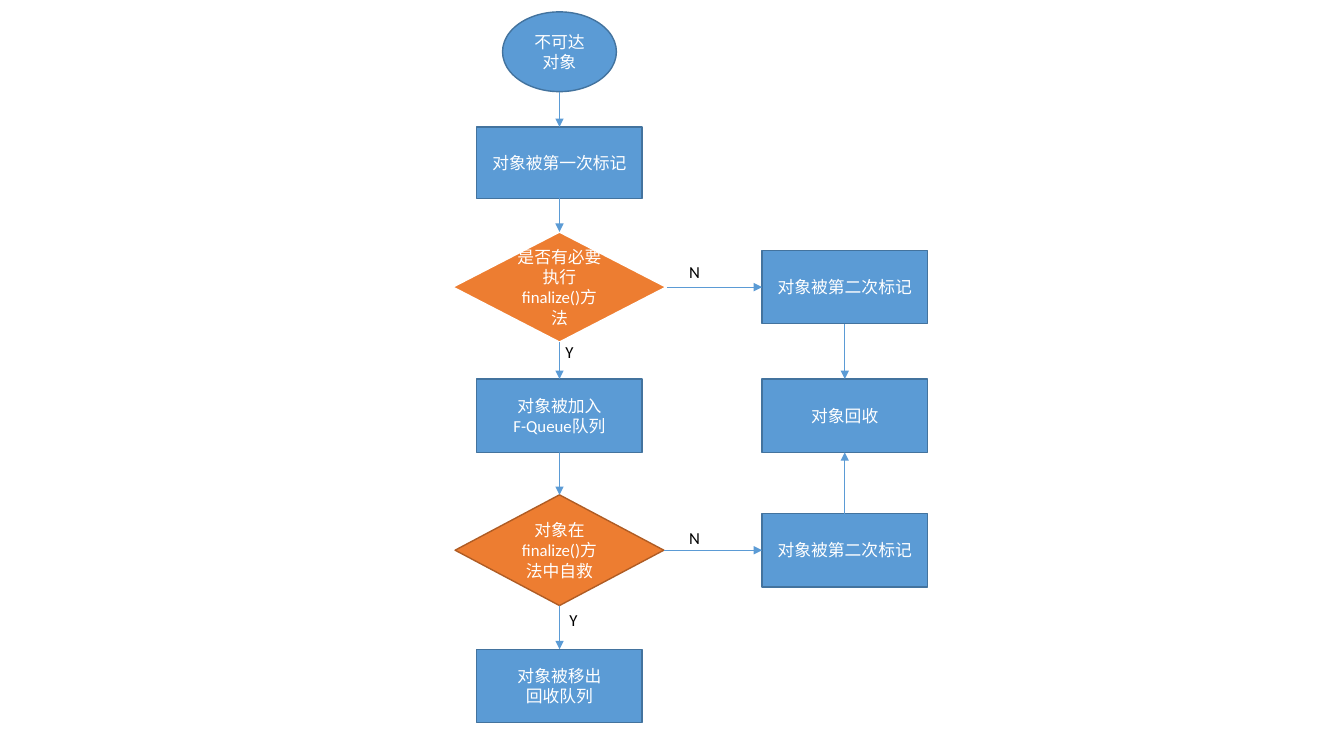
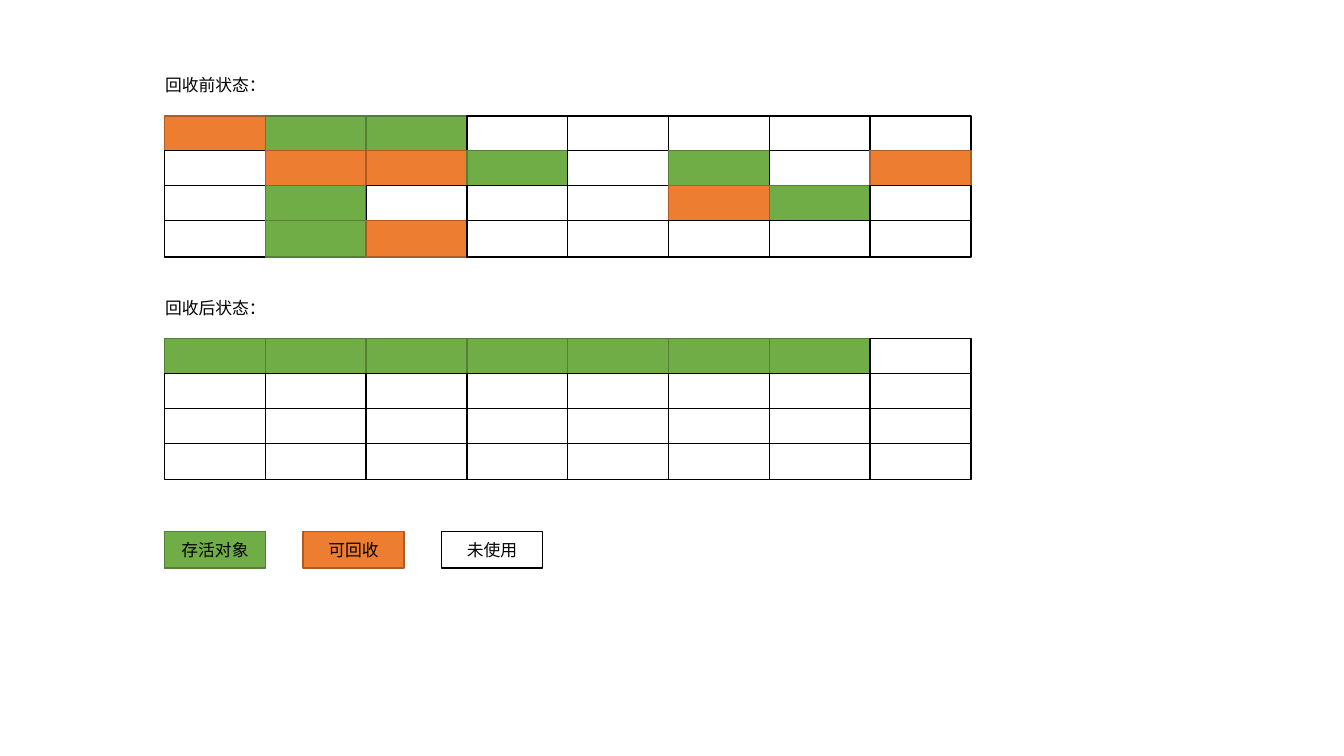
import pptx
import pptx.dml.color
import pptx.enum.shapes
import pptx.enum.text
import pptx.oxml
import pptx.oxml.ns
import pptx.util
from pptx.util import Cm

SHAPE = pptx.enum.shapes.MSO_SHAPE
ALIGN = pptx.enum.text.PP_ALIGN
color = pptx.dml.color.RGBColor.from_string

# Fill, outline, outline width in points
STEP = ("5B9BD5", "43739E", 1)
DECISION = ("ED7D31", "AF5C24", 1)
DECISION_WHITE_EDGE = ("ED7D31", "FFFFFF", 1.5)
ALIVE = ("70AD47", "538035", 1)
GARBAGE = ("ED7D31", "AF5C24", 1)
UNUSED = ("FFFFFF", "000000", 1)


def write_lines(frame, lines, hex_color, align):
    frame.word_wrap = True
    for index, line in enumerate(lines):
        para = frame.paragraphs[0] if index == 0 else frame.add_paragraph()
        para.alignment = align
        span = para.add_run()
        span.text = line
        span.font.name = "Calibri"
        span.font.size = pptx.util.Pt(12)
        span.font.color.rgb = color(hex_color)


def add_block(page, kind, left, top, width, height, style, lines=(), text_color="FFFFFF"):
    """Add a filled, outlined shape with centred text; lengths are in centimetres."""
    fill, edge, edge_width = style
    block = page.shapes.add_shape(kind, Cm(left), Cm(top), Cm(width), Cm(height))
    block.shadow.inherit = False
    block.fill.solid()
    block.fill.fore_color.rgb = color(fill)
    block.line.color.rgb = color(edge)
    block.line.width = pptx.util.Pt(edge_width)
    write_lines(block.text_frame, lines, text_color, ALIGN.CENTER)
    return block


deck = pptx.Presentation()
deck.slide_width = Cm(33.87)
deck.slide_height = Cm(19.05)
flow_page, memory_page = [deck.slides.add_slide(deck.slide_layouts[6]) for _ in range(2)]

# Flow chart of the two markings
MAIN, SIDE = 14.1, 21.29  # column centres
DIAMOND = SHAPE.FLOWCHART_DECISION
RECT = SHAPE.RECTANGLE
nodes = {}
for name, kind, center, top, width, height, style, lines in [
    ("unreachable", SHAPE.OVAL, MAIN, 0.3, 2.87, 2.01, STEP, ["不可达对象"]),
    ("first mark", RECT, MAIN, 3.2, 4.17, 1.8, STEP, ["对象被第一次标记"]),
    ("needed", DIAMOND, MAIN, 5.84, 5.41, 2.79, DECISION_WHITE_EDGE, ["是否有必要执行finalize()方法"]),
    ("queued", RECT, MAIN, 9.55, 4.17, 1.85, STEP, ["对象被加入", "F-Queue队列"]),
    ("rescued", DIAMOND, MAIN, 12.47, 5.26, 2.79, DECISION, ["对象在finalize()方法中自救"]),
    ("removed", RECT, MAIN, 16.36, 4.17, 1.85, STEP, ["对象被移出", "回收队列"]),
    ("upper mark", RECT, SIDE, 6.31, 4.17, 1.85, STEP, ["对象被第二次标记"]),
    ("collected", RECT, SIDE, 9.55, 4.17, 1.85, STEP, ["对象回收"]),
    ("lower mark", RECT, SIDE, 12.94, 4.17, 1.85, STEP, ["对象被第二次标记"]),
]:
    nodes[name] = add_block(flow_page, kind, center - width / 2, top, width, height, style, lines)

TOP, LEFT, BOTTOM, RIGHT = range(4)
for start, start_side, end, end_side in [
    ("unreachable", BOTTOM, "first mark", TOP),
    ("first mark", BOTTOM, "needed", TOP),
    ("needed", BOTTOM, "queued", TOP),
    ("queued", BOTTOM, "rescued", TOP),
    ("rescued", BOTTOM, "removed", TOP),
    ("needed", RIGHT, "upper mark", LEFT),
    ("upper mark", BOTTOM, "collected", TOP),
    ("lower mark", TOP, "collected", BOTTOM),
    ("rescued", RIGHT, "lower mark", LEFT),
]:
    source = nodes[start]
    x, y = source.left + source.width // 2, source.top + source.height
    arrow = flow_page.shapes.add_connector(pptx.enum.shapes.MSO_CONNECTOR.STRAIGHT, x, y, x, y)
    if start != "unreachable":  # an oval numbers its connection sites differently
        arrow.begin_connect(source, start_side)
    arrow.end_connect(nodes[end], end_side)
    arrow.line.color.rgb = color("5B9BD5")
    arrow.line.width = pptx.util.Pt(0.5)
    head = pptx.oxml.parse_xml(f'<a:tailEnd {pptx.oxml.ns.nsdecls("a")} type="triangle"/>')
    arrow.line._get_or_add_ln().append(head)
    no_shadow = pptx.oxml.parse_xml(f'<a:effectLst {pptx.oxml.ns.nsdecls("a")}/>')
    arrow._element.spPr.append(no_shadow)

# Memory before and after collection: A alive, G garbage, dot unused
CELL_WIDTH, CELL_HEIGHT, ROW_PITCH = 2.54, 0.92, 0.88
GRID_LEFT = 4.15
styles = {"A": ALIVE, "G": GARBAGE, ".": UNUSED}
before = ["GAA.....", ".GGA.A.G", ".A...GA.", ".AG....."]
after = ["AAAAAAA."] + ["........"] * 3
for grid_top, rows in [(2.92, before), (8.53, after)]:
    for row, cells in enumerate(rows):
        for column, state in enumerate(cells):
            add_block(memory_page, RECT, GRID_LEFT + column * CELL_WIDTH,
                      grid_top + row * ROW_PITCH, CELL_WIDTH, CELL_HEIGHT, styles[state])

for index, (style, caption) in enumerate([(ALIVE, "存活对象"), (GARBAGE, "可回收"), (UNUSED, "未使用")]):
    add_block(memory_page, RECT, GRID_LEFT + index * 3.49, 13.39,
              CELL_WIDTH, CELL_HEIGHT, style, [caption], "000000")

# Plain labels of both slides
for page, left, top, width, caption in [
    (flow_page, 17.12, 6.48, 0.89, "N"),
    (flow_page, 14, 8.48, 0.89, "Y"),
    (flow_page, 17.12, 13.18, 0.89, "N"),
    (flow_page, 14.1, 15.24, 0.89, "Y"),
    (memory_page, 3.91, 1.75, 4.98, "回收前状态："),
    (memory_page, 3.91, 7.37, 4.98, "回收后状态："),
]:
    label = page.shapes.add_textbox(Cm(left), Cm(top), Cm(width), Cm(0.77))
    write_lines(label.text_frame, [caption], "000000", ALIGN.LEFT)
    label.text_frame.auto_size = pptx.enum.text.MSO_AUTO_SIZE.SHAPE_TO_FIT_TEXT

deck.save("out.pptx")
